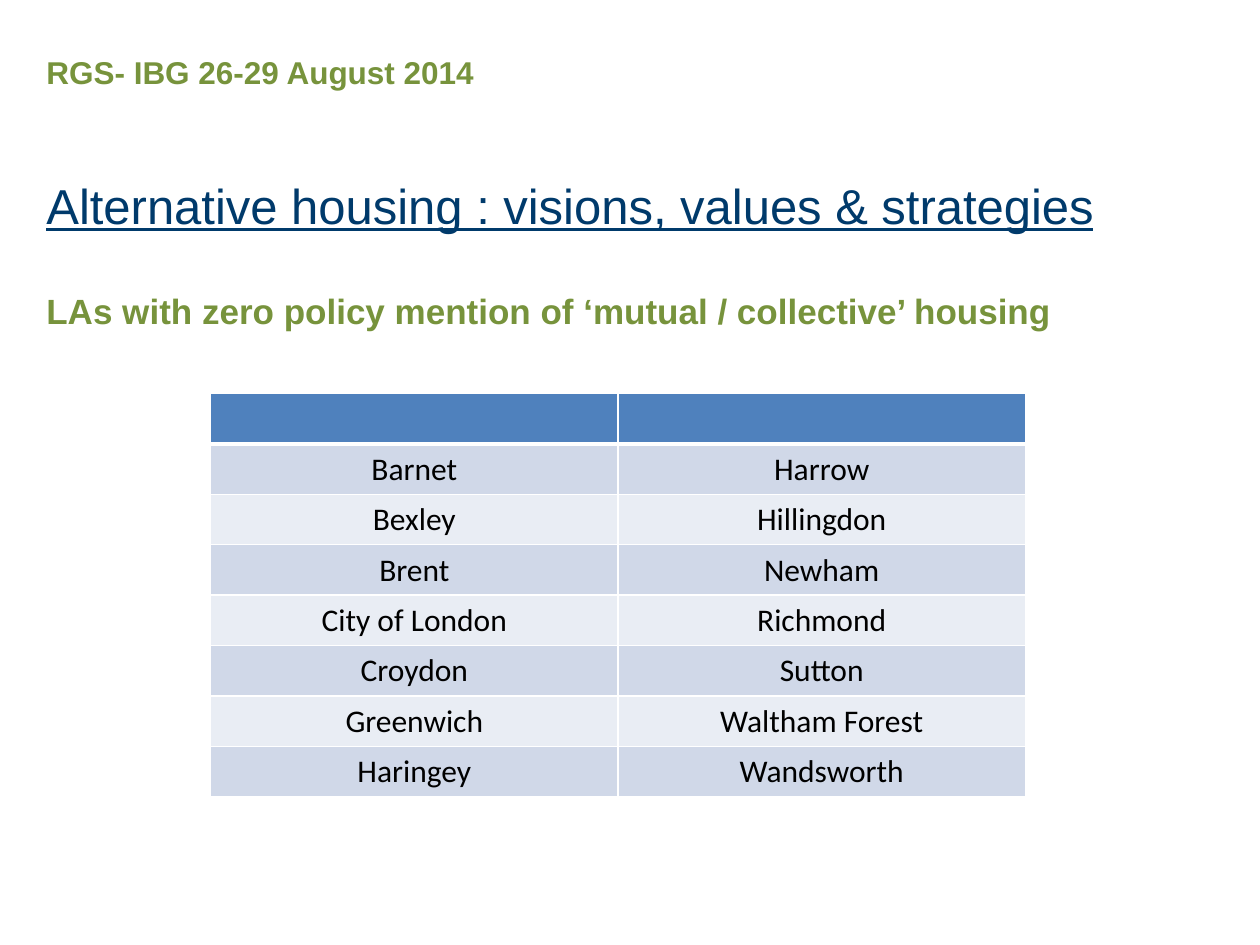
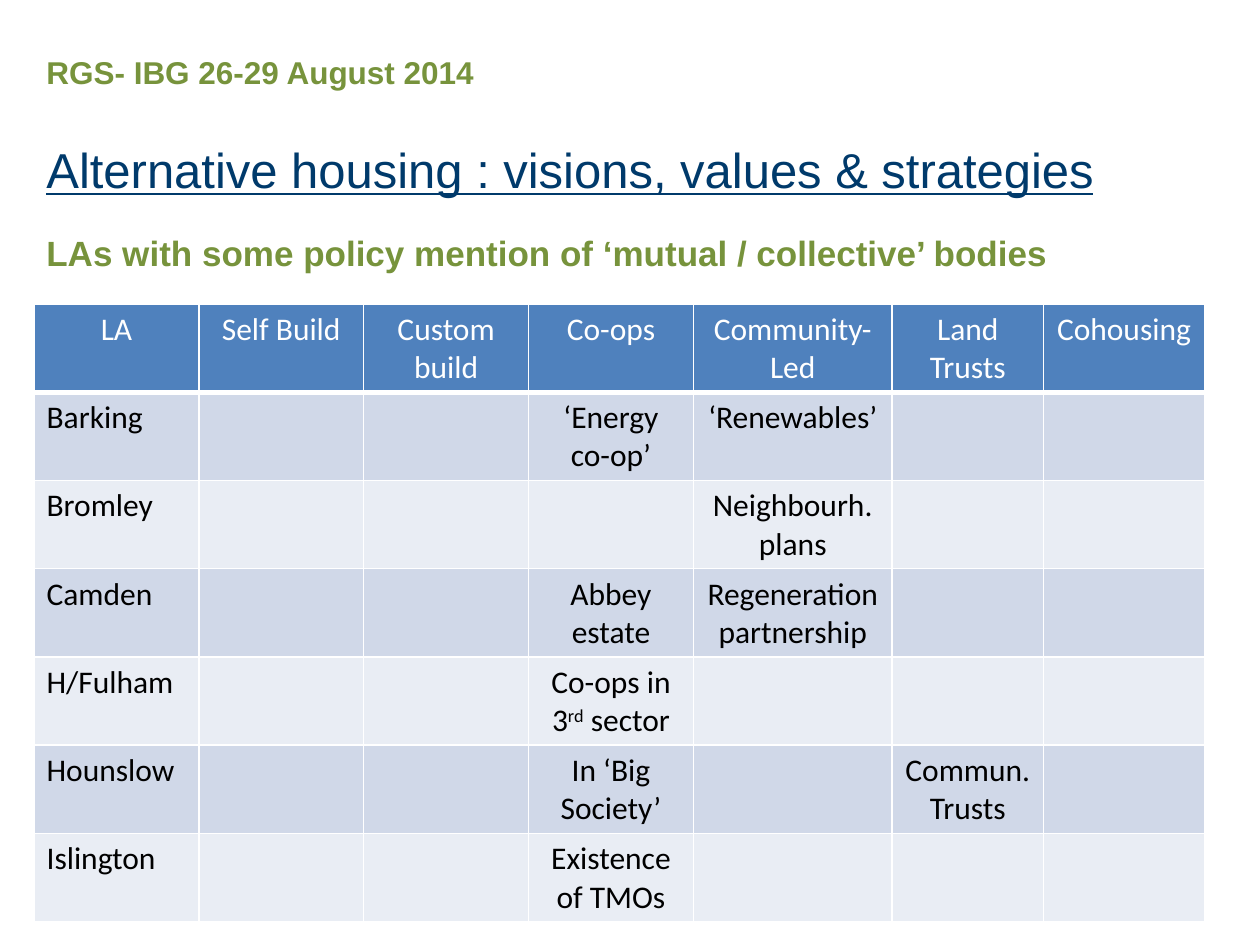
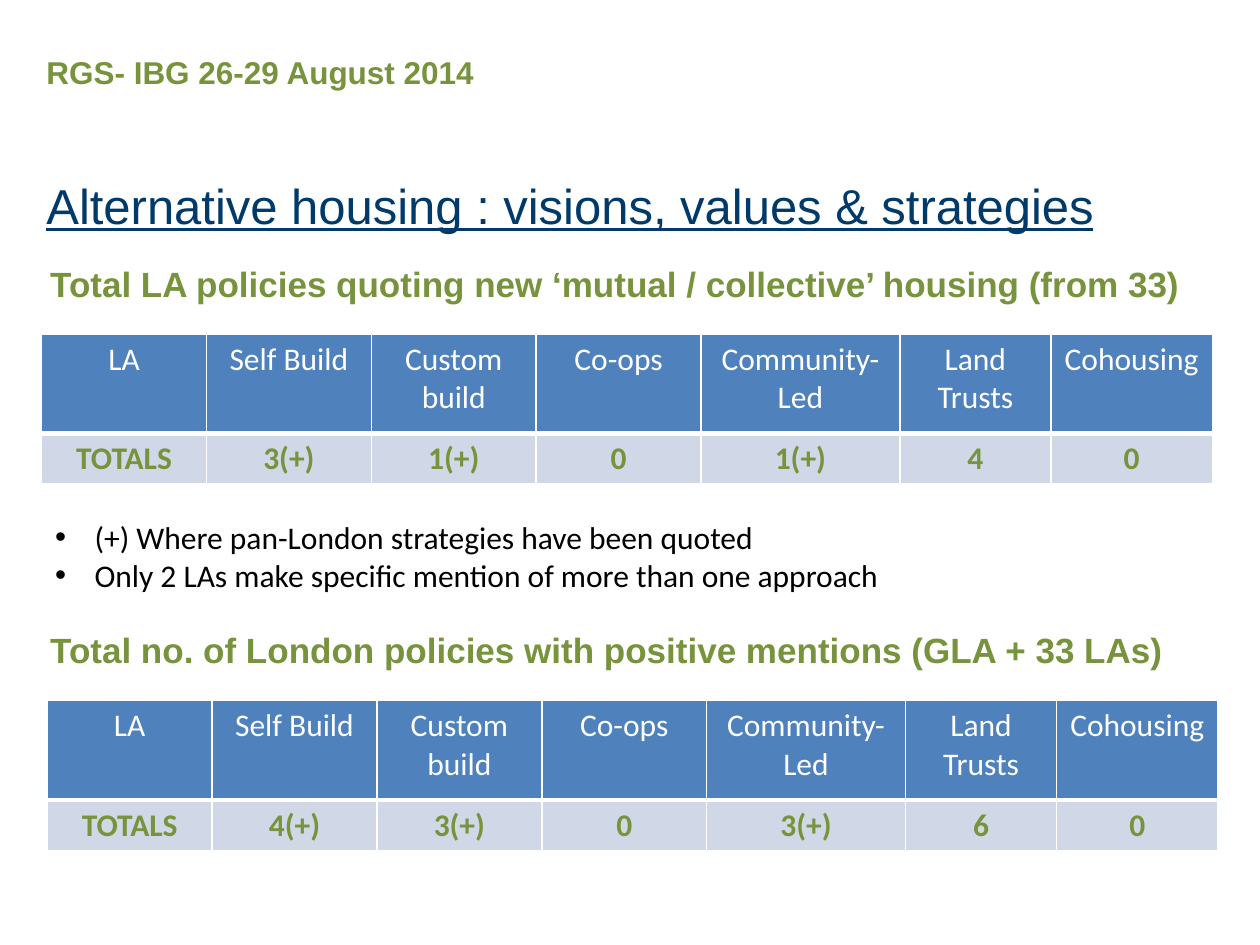
from lxml import etree
from pptx import Presentation
from pptx.dml.color import RGBColor
from pptx.enum import text
from pptx.oxml import ns
from pptx.util import Pt

NAVY = RGBColor(0x00, 0x3A, 0x6B)
GREEN = RGBColor(0x77, 0x93, 0x3C)
BLUE = RGBColor(0x4F, 0x81, 0xBD)
BAND_DARK = RGBColor(0xD0, 0xD8, 0xE8)
BAND_LIGHT = RGBColor(0xE9, 0xED, 0xF4)
WHITE = RGBColor(0xFF, 0xFF, 0xFF)
BLACK = RGBColor(0x00, 0x00, 0x00)

HEADING_FONT = "Arial"
BODY_FONT = "Calibri"
LEFT = 19.44
ONE_LINE = 28.8
TWO_LINES = 50.4
TOTALS_HEAD = 56.88

APPROACHES = ["LA", "Self Build", "Custom build", "Co-ops",
              "Community-Led", "Land Trusts", "Cohousing"]
APPROACH_WIDTHS = [94.2] * 4 + [113.6, 86.4, 92.2]


def add_span(para, words, size, font, color, bold=False, underline=False, raised=False):
    span = para.add_run()
    span.text = words
    span.font.size = Pt(size)
    span.font.name = font
    span.font.color.rgb = color
    span.font.bold = bold
    span.font.underline = underline
    if raised:
        span._r.get_or_add_rPr().set("baseline", "30000")


def add_box(page, left, top, width, height, wrap=False):
    box = page.shapes.add_textbox(Pt(left), Pt(top), Pt(width), Pt(height))
    box.text_frame.word_wrap = wrap
    return box.text_frame


def add_heading(page, words, left, top, width, wrap=False):
    frame = add_box(page, left, top, width, 31.5, wrap)
    add_span(frame.paragraphs[0], words, 20, HEADING_FONT, GREEN, bold=True)


def add_page(deck, title_top):
    """A blank page with the event line and the shared title."""
    page = deck.slides.add_slide(deck.slide_layouts[6])
    event = add_box(page, LEFT, 26.64, 261.4, 29)
    add_span(event.paragraphs[0], "RGS- IBG 26-29 August 2014", 18,
             HEADING_FONT, GREEN, bold=True)
    title = add_box(page, LEFT, title_top, 620.6, 41)
    add_span(title.paragraphs[0], "Alternative housing : visions, values & strategies",
             28, HEADING_FONT, NAVY, underline=True)
    return page


def set_borders(cell, bottom):
    properties = cell._tc.get_or_add_tcPr()
    for side, width in (("L", 1), ("R", 1), ("T", 1), ("B", bottom)):
        line = etree.SubElement(properties, ns.qn("a:ln" + side), w=str(Pt(width)))
        fill = etree.SubElement(line, ns.qn("a:solidFill"))
        etree.SubElement(fill, ns.qn("a:srgbClr"), val=str(WHITE))


def add_grid(page, left, top, widths, heights, rows, label_align=text.PP_ALIGN.CENTER,
             body_color=BLACK, bold=False):
    """A banded table; a cell is a string or a list of (words, raised) pairs."""
    table = page.shapes.add_table(len(rows), len(widths), Pt(left), Pt(top),
                                  Pt(sum(widths)), Pt(sum(heights))).table
    for column, width in zip(table.columns, widths):
        column.width = Pt(width)
    for row, height in zip(table.rows, heights):
        row.height = Pt(height)
    for r, row in enumerate(rows):
        header = r == 0
        band = BLUE if header else BAND_DARK if r % 2 else BAND_LIGHT
        for c, content in enumerate(row):
            cell = table.cell(r, c)
            set_borders(cell, 3 if header else 1)
            cell.fill.solid()
            cell.fill.fore_color.rgb = band
            para = cell.text_frame.paragraphs[0]
            para.alignment = label_align if c == 0 and not header else text.PP_ALIGN.CENTER
            parts = [(content, False)] if isinstance(content, str) else content
            for words, raised in parts:
                if words:
                    add_span(para, words, 18, BODY_FONT, WHITE if header else body_color,
                             bold=bold and not header, raised=raised)


def add_bullets(page, left, top, width, height, lines):
    frame = add_box(page, left, top, width, height, wrap=True)
    for i, words in enumerate(lines):
        para = frame.add_paragraph() if i else frame.paragraphs[0]
        properties = para._p.get_or_add_pPr()
        properties.set("marL", str(Pt(22.5)))
        properties.set("indent", str(-Pt(22.5)))
        etree.SubElement(properties, ns.qn("a:buFont"), typeface="Arial")
        etree.SubElement(properties, ns.qn("a:buChar"), char="•")
        add_span(para, words, 18, BODY_FONT, BLACK)


def add_totals(page, heading, heading_top, left, top, totals):
    """A heading above a one-row table of totals."""
    add_heading(page, heading, 21.6, heading_top, 663.1, wrap=True)
    add_grid(page, left, top, APPROACH_WIDTHS, [TOTALS_HEAD, ONE_LINE],
             [APPROACHES, ["TOTALS"] + totals], body_color=GREEN, bold=True)


def build_zero_mentions(deck):
    page = add_page(deck, 96.5)
    add_heading(page, "LAs with zero policy mention of ‘mutual / collective’ housing",
                LEFT, 162, 592.6)
    first = ["Barnet", "Bexley", "Brent", "City of London", "Croydon", "Greenwich", "Haringey"]
    second = ["Harrow", "Hillingdon", "Newham", "Richmond", "Sutton", "Waltham Forest",
              "Wandsworth"]
    rows = [["", ""]] + [list(pair) for pair in zip(first, second)]
    add_grid(page, 120.4, 224.8, [232.8] * 2, [ONE_LINE] * len(rows), rows)


def build_some_mentions(deck):
    page = add_page(deck, 76.3)
    add_heading(page, "LAs with some policy mention of ‘mutual / collective’ bodies",
                LEFT, 128.9, 590.4)
    # Authority, then its co-op, community-led and land trust entries
    entries = [
        ("Barking", "‘Energy co-op’", "‘Renewables’", ""),
        ("Bromley", "", "Neighbourh. plans", ""),
        ("Camden", "Abbey estate", "Regeneration partnership", ""),
        ("H/Fulham", [("Co-ops in 3", False), ("rd", True), (" sector", False)], "", ""),
        ("Hounslow", "In ‘Big Society’", "", "Commun. Trusts"),
        ("Islington", "Existence of TMOs", "", ""),
    ]
    rows = [APPROACHES] + [[authority, "", "", coop, community, trust, ""]
                           for authority, coop, community, trust in entries]
    add_grid(page, LEFT, 173.7, APPROACH_WIDTHS, [TWO_LINES] * len(rows), rows,
             label_align=text.PP_ALIGN.LEFT)


def build_totals(deck):
    page = add_page(deck, 96.5)
    add_totals(page, "Total LA policies quoting new ‘mutual / collective’ housing (from 33)",
               146.2, 23.8, 190.8, ["3(+)", "1(+)", "0", "1(+)", "4", "0"])
    add_bullets(page, 24.5, 292.3, 595.4, 72.7, [
        "(+) Where pan-London strategies have been quoted",
        "Only 2 LAs make specific mention of more than one approach",
    ])
    add_totals(page, "Total no. of London policies with positive mentions (GLA + 33 LAs)",
               355.7, 27, 400.3, ["4(+)", "3(+)", "0", "3(+)", "6", "0"])


deck = Presentation()
deck.slide_width, deck.slide_height = Pt(720), Pt(540)
build_zero_mentions(deck)
build_some_mentions(deck)
build_totals(deck)
deck.save("out.pptx")
